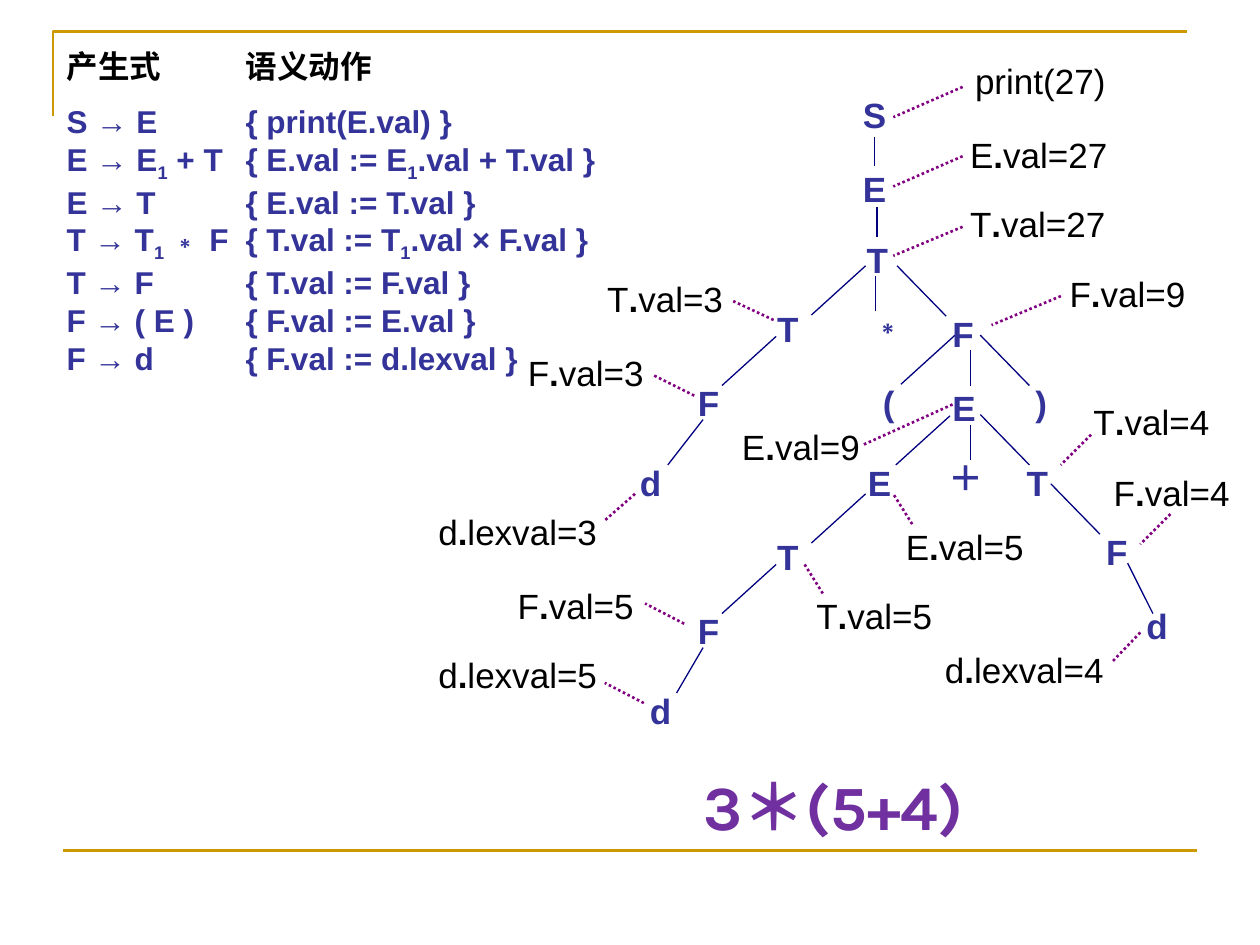
from pptx import Presentation
from pptx.dml.color import RGBColor
from pptx.enum.dml import MSO_LINE
from pptx.enum.shapes import MSO_CONNECTOR
from pptx.enum.text import MSO_AUTO_SIZE, PP_ALIGN
from pptx.oxml.ns import qn
from pptx.util import Inches, Pt
from lxml import etree

COLORS = {"gold": "CC9900", "symbol": "333399", "branch": "000080",
          "pointer": "800080", "black": "000000", "expression": "7030A0"}

prs = Presentation()
prs.slide_width, prs.slide_height = Inches(10), Inches(7.5)
slide = prs.slides.add_slide(prs.slide_layouts[6])


def add_text(text, left=0, top=0, width=1, height=0.44, size=20, color="black",
             bold=False, wrap=True, align=PP_ALIGN.LEFT, font="Arial", gap=0):
    """Add a box with one paragraph per line of text.

    Underscores enclose a subscript, and a full stop in a label (unbold text) is bold.
    The first line stays black when gap, the space below it, is given.
    """
    frame = slide.shapes.add_textbox(
        Inches(left), Inches(top), Inches(width), Inches(height)).text_frame
    frame.word_wrap = wrap
    frame.auto_size = MSO_AUTO_SIZE.SHAPE_TO_FIT_TEXT
    for row, line in enumerate(text.split("\n")):
        paragraph = frame.paragraphs[0] if row == 0 else frame.add_paragraph()
        paragraph.alignment = align
        is_heading = gap and row == 0
        if is_heading:
            paragraph.space_after = Pt(gap)
        pieces = line.split("_") if bold else line.replace(".", "|.|").split("|")
        for index, piece in enumerate(pieces):
            run = paragraph.add_run()
            run.text = piece
            run.font.name, run.font.size = font, Pt(size)
            run.font.bold = bold or piece == "."
            run.font.color.rgb = RGBColor.from_string(COLORS["black" if is_heading else color])
            if bold and index % 2:
                run.font._element.set("baseline", "-25000")


def add_line(x1, y1, x2, y2, color, width, dash=None):
    line = slide.shapes.add_connector(
        MSO_CONNECTOR.STRAIGHT, Inches(x1), Inches(y1), Inches(x2), Inches(y2))
    line.line.color.rgb = RGBColor.from_string(COLORS[color])
    line.line.width = Pt(width)
    if dash:
        line.line.dash_style = dash
    etree.SubElement(line._element.spPr, qn("a:effectLst"))


# Gold frame
corner_builder = slide.shapes.build_freeform(Inches(0.42), Inches(0.92), scale=1.0)
corner_builder.add_line_segments(
    [(Inches(0.42), Inches(0.25)), (Inches(9.42), Inches(0.25))], close=False)
corner = corner_builder.convert_to_shape()
corner.shadow.inherit = False
corner.fill.background()
corner.line.color.rgb = RGBColor.from_string(COLORS["gold"])
corner.line.width = Pt(1.5)
add_line(0.5, 6.75, 9.5, 6.75, "gold", 1.5)

# Parse tree
branches = [
    (6.94, 1.32, 6.94, 1.09), (6.96, 1.88, 6.96, 1.64),
    (6.44, 2.5, 6.87, 2.11), (6.95, 2.47, 6.95, 2.19), (7.51, 2.51, 7.12, 2.11),
    (5.73, 3.06, 6.16, 2.67), (5.3, 3.69, 5.58, 3.33),
    (7.15, 3.05, 7.58, 2.66), (7.7, 3.06, 7.7, 2.78), (8.17, 3.06, 7.78, 2.66),
    (7.11, 3.69, 7.54, 3.3), (7.7, 3.65, 7.7, 3.37), (8.17, 3.69, 7.78, 3.29),
    (6.44, 4.31, 6.87, 3.92), (5.73, 4.87, 6.16, 4.48), (5.37, 5.5, 5.58, 5.14),
    (8.73, 4.24, 8.34, 3.84), (9.15, 4.87, 8.95, 4.47),
]
for branch in branches:
    add_line(*branch, "branch", 0.75)

symbols = [
    ("S", 6.75, 0.69), ("E", 6.75, 1.28), ("T", 6.78, 1.84),
    ("T", 6.07, 2.39), ("∗", 6.81, 2.35), ("F", 7.46, 2.43),
    ("F", 5.44, 2.98), ("d", 4.98, 3.61),
    ("(", 6.91, 2.98), ("E", 7.46, 3.02), (")", 8.12, 2.98),
    ("E", 6.79, 3.61), ("＋", 7.43, 3.57), ("T", 8.05, 3.61),
    ("T", 6.07, 4.2), ("F", 5.44, 4.79), ("d", 5.06, 5.42),
    ("F", 8.68, 4.16), ("d", 9, 4.75),
]
for symbol, left, top in symbols:
    add_text(symbol, left, top, 0.37, color="symbol", bold=True)

# Attribute values: label, left, top, width, then the pointer to its tree node
attributes = [
    ("print(27)", 7.64, 0.42, 1.34, (7.64, 0.69, 7.09, 0.93)),
    ("E.val=27", 7.6, 1.01, 1.29, (7.64, 1.24, 7.09, 1.48)),
    ("T.val=27", 7.6, 1.56, 1.29, (7.64, 1.8, 7.09, 2.03)),
    ("F.val=9", 8.39, 2.11, 1.15, (8.42, 2.35, 7.87, 2.58)),
    ("E.val=9", 5.79, 3.33, 1.15, (7.56, 3.21, 6.85, 3.53)),
    ("T.val=3", 4.72, 2.15, 1.15, (6.14, 2.54, 5.82, 2.39)),
    ("F.val=3", 4.09, 2.74, 1.15, (5.51, 3.14, 5.19, 2.98)),
    ("d.lexval=3", 3.38, 4, 1.48, (5.04, 3.92, 4.8, 4.13)),
    ("E.val=5", 7.09, 4.12, 1.15, (7.24, 4.16, 7.09, 3.92)),
    ("T.val=5", 6.38, 4.67, 1.15, (6.53, 4.71, 6.38, 4.47)),
    ("F.val=5", 4.01, 4.59, 1.15, (5.43, 4.95, 5.12, 4.79)),
    ("d.lexval=5", 3.38, 5.14, 1.48, (5.11, 5.58, 4.8, 5.42)),
    ("T.val=4", 8.58, 3.13, 1.15, (8.66, 3.45, 8.42, 3.69)),
    ("F.val=4", 8.74, 3.69, 1.15, (9.29, 4.08, 9.05, 4.32)),
    ("d.lexval=4", 7.4, 5.1, 1.48, (9.05, 5.02, 8.82, 5.26)),
]
for label, left, top, width, pointer in attributes:
    add_text(label, left, top, width)
    add_line(*pointer, "pointer", 1.5, MSO_LINE.ROUND_DOT)

add_text("3＊(5+4)", 4.05, 6.04, 5.13, 0.7, size=36, color="expression",
         bold=True, align=PP_ALIGN.CENTER, font="Karla")

# Translation scheme: each production beside its semantic action
scheme = [
    ("产生式", "语义动作"),
    ("S → E", "{ print(E.val) }"),
    ("E → E_1_ + T", "{ E.val := E_1_.val + T.val }"),
    ("E → T", "{ E.val := T.val }"),
    ("T → T_1 _∗ F", "{ T.val := T_1_.val × F.val }"),
    ("T → F", "{ T.val := F.val }"),
    ("F → ( E )", "{ F.val := E.val }"),
    ("F → d", "{ F.val := d.lexval }"),
]
for column, left, width in zip(zip(*scheme), (0.43, 1.85), (1.57, 3.19)):
    add_text("\n".join(column), left, 0.32, width, 2.72, size=18,
             color="symbol", bold=True, gap=10)

prs.save("out.pptx")
